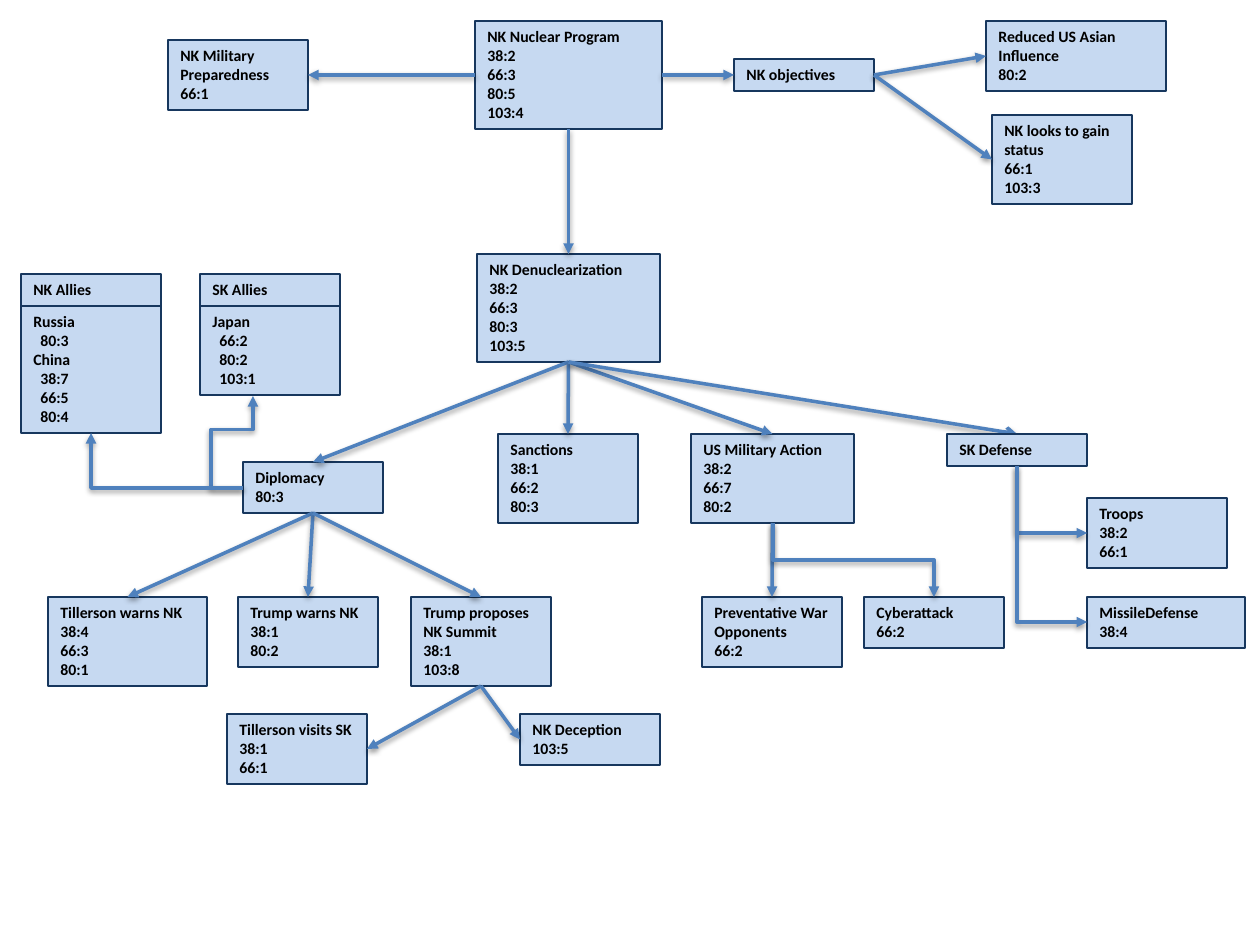
import pptx
import pptx.util
import pptx.dml.color
import pptx.enum.shapes
import pptx.enum.text
import pptx.oxml
import pptx.oxml.ns

SCALE = 914400 / 126
KINDS = pptx.enum.shapes.MSO_CONNECTOR
qn = pptx.oxml.ns.qn


def px(*values):
    return [pptx.util.Emu(round(v * SCALE)) for v in values]


def color(value):
    return pptx.dml.color.RGBColor.from_string(value)


prs = pptx.Presentation()
prs.slide_width, prs.slide_height = px(1260, 945)
s = prs.slides.add_slide(prs.slide_layouts[6])

font = {"name": "Calibri", "size": pptx.util.Pt(9), "bold": True}
frame = {"word_wrap": True, "auto_size": pptx.enum.text.MSO_AUTO_SIZE.SHAPE_TO_FIT_TEXT}

boxes = [
    (475, 21, 187, 5, "NK Nuclear Program|38:2|66:3|80:5|103:4"),
    (691, 434, 163, 4, "US Military Action|38:2|66:7|80:2"),
    (986, 21, 180, 3, "Reduced US Asian Influence|80:2"),
    (48, 597, 159, 4, "Tillerson warns NK|38:4|66:3|80:1"),
    (238, 597, 140, 3, "Trump warns NK|38:1|80:2"),
    (411, 597, 140, 4, "Trump proposes NK Summit|38:1|103:8"),
    (227, 714, 140, 3, "Tillerson visits SK|38:1|66:1"),
    (992, 115, 140, 4, "NK looks to gain status|66:1|103:3"),
    (864, 597, 140, 2, "Cyberattack|66:2"),
    (520, 714, 140, 2, "NK Deception|103:5"),
    (498, 434, 140, 4, "Sanctions|38:1|66:2|80:3"),
    (243, 462, 140, 2, "Diplomacy|80:3"),
    (702, 597, 140, 3, "Preventative War Opponents|66:2"),
    (168, 40, 140, 3, "NK Military Preparedness|66:1"),
    (477, 254, 183, 5, "NK Denuclearization|38:2|66:3|80:3|103:5"),
    (734, 59, 140, 1, "NK objectives"),
    (21, 274, 140, 1, "NK Allies"),
    (200, 274, 140, 1, "SK Allies"),
    (21, 306, 140, 6, "Russia|80:3|China|38:7|66:5|80:4"),
    (200, 306, 140, 4, "Japan|66:2|80:2|103:1"),
    (1087, 597, 158, 2, "MissileDefense|38:4"),
    (947, 434, 140, 1, "SK Defense"),
    (1087, 498, 140, 3, "Troops|38:2|66:1"),
]

shapes = {}
for left, top, width, rows, text in boxes:
    lines = text.split("|")
    sp = s.shapes.add_textbox(*px(left, top, width, 13 + 19 * rows))
    shapes[lines[0]] = sp
    sp.fill.solid()
    sp.fill.fore_color.rgb = color("C6D9F1")
    sp.line.color.rgb = color("17375E")
    sp.line.width = pptx.util.Pt(1.5)
    tf = sp.text_frame
    for key, value in frame.items():
        setattr(tf, key, value)
    for i, line in enumerate(lines):
        p = tf.add_paragraph() if i else tf.paragraphs[0]
        if lines[0] in ("Russia", "Japan") and ":" in line:
            p._p.get_or_add_pPr().set("marL", str(px(7)[0]))
        r = p.add_run()
        r.text = line
        r.font.color.rgb = color("000000")
        for key, value in font.items():
            setattr(r.font, key, value)

arrows = [
    ("NK Nuclear Program", 1, "NK Military Preparedness", 3),
    ("NK Nuclear Program", 2, "NK Denuclearization", 0),
    ("NK Nuclear Program", 3, "NK objectives", 1),
    ("NK objectives", 3, "Reduced US Asian Influence", 1),
    ("NK objectives", 3, "NK looks to gain status", 1),
    ("NK Denuclearization", 2, "Diplomacy", 0),
    ("NK Denuclearization", 2, "Sanctions", 0),
    ("NK Denuclearization", 2, "US Military Action", 0),
    ("NK Denuclearization", 2, "SK Defense", 0),
    ("Diplomacy", 2, "Tillerson warns NK", 0),
    ("Diplomacy", 2, "Trump warns NK", 0),
    ("Diplomacy", 2, "Trump proposes NK Summit", 0),
    ("US Military Action", 2, "Preventative War Opponents", 0),
    ("Trump proposes NK Summit", 2, "Tillerson visits SK", 3),
    ("Trump proposes NK Summit", 2, "NK Deception", 1),
]

connectors = []
for start, start_side, end, end_side in arrows:
    c = s.shapes.add_connector(KINDS.STRAIGHT, 0, 0, 0, 0)
    c.begin_connect(shapes[start], start_side)
    c.end_connect(shapes[end], end_side)
    connectors.append((c, "arrow" if end == "SK Defense" else "triangle"))

s.shapes._spTree.append(shapes["SK Defense"]._element)

elbows = [
    (773, 523, 934, 597, 270, "bentConnector3", [50000]),
    (243, 488, 253, 396, 180, "bentConnector4", [-317400, 63700]),
    (243, 488, 91, 433, 180, "bentConnector2", []),
    (1017, 466, 1087, 533, 270, "bentConnector2", []),
    (1017, 466, 1087, 622, 270, "bentConnector2", []),
]

for x1, y1, x2, y2, turn, preset, adjusts in elbows:
    width, height = abs(x2 - x1), abs(y2 - y1)
    if turn == 270:
        width, height = height, width
    left, top = (x1 + x2 - width) / 2, (y1 + y2 - height) / 2
    c = s.shapes.add_connector(KINDS.ELBOW, *px(left, top, left + width, top + height))
    xfrm = c._element.spPr.find(qn("a:xfrm"))
    xfrm.set("rot", str(turn * 60000))
    if turn == 270 or x2 > x1:
        xfrm.set("flipH", "1")
    geom = c._element.spPr.find(qn("a:prstGeom"))
    geom.set("prst", preset)
    guides = geom.get_or_add_avLst()
    for i, value in enumerate(adjusts, 1):
        gd = pptx.oxml.parse_xml(f'<a:gd {pptx.oxml.ns.nsdecls("a")} name="adj{i}" fmla="val {value}"/>')
        guides.append(gd)
    connectors.append((c, "triangle"))

for c, head in connectors:
    c.line.color.rgb = color("4F81BD")
    c.line.width = pptx.util.Pt(2)
    tail = pptx.oxml.parse_xml(f'<a:tailEnd {pptx.oxml.ns.nsdecls("a")} type="{head}"/>')
    c.line._get_or_add_ln().append(tail)

prs.save("out.pptx")
